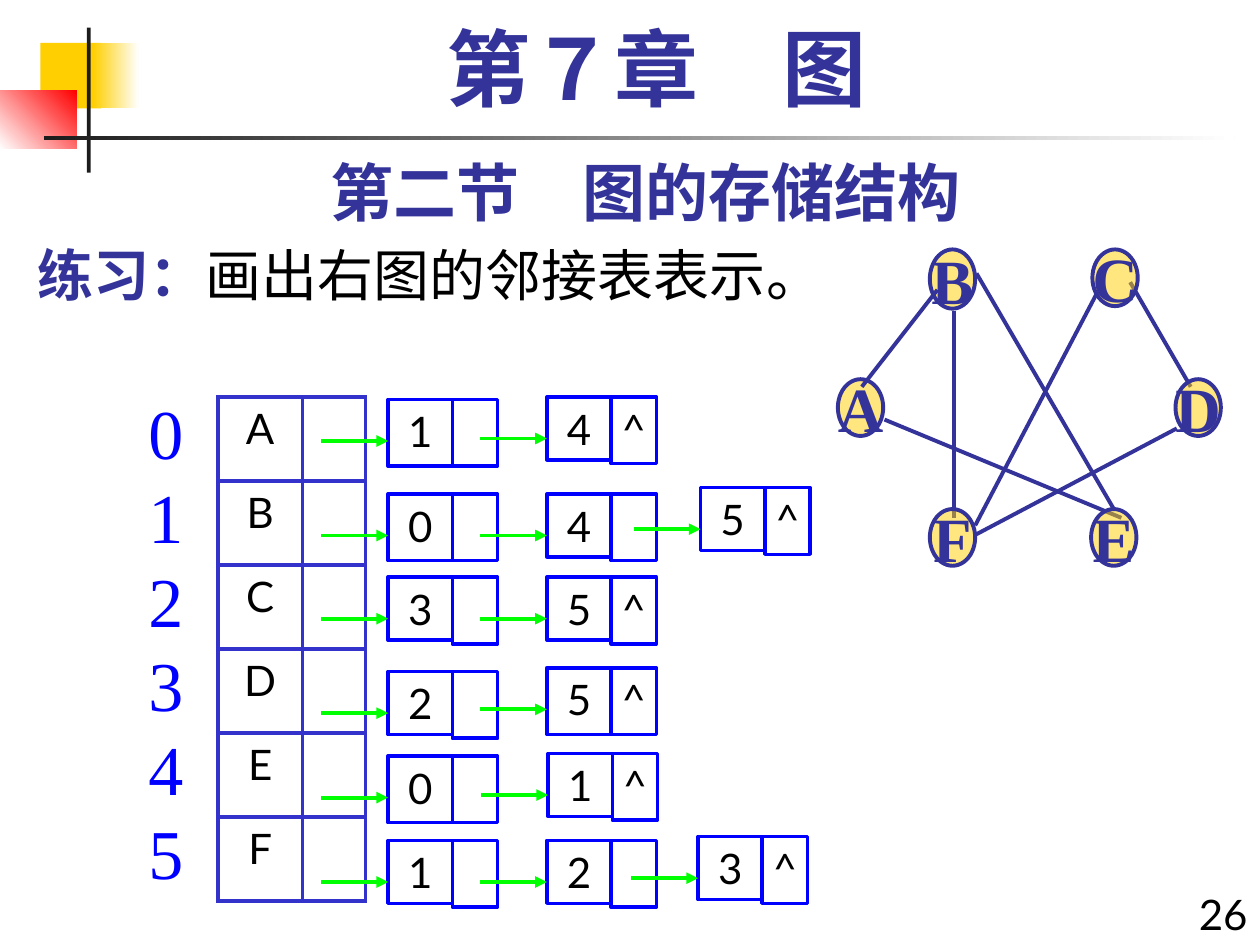
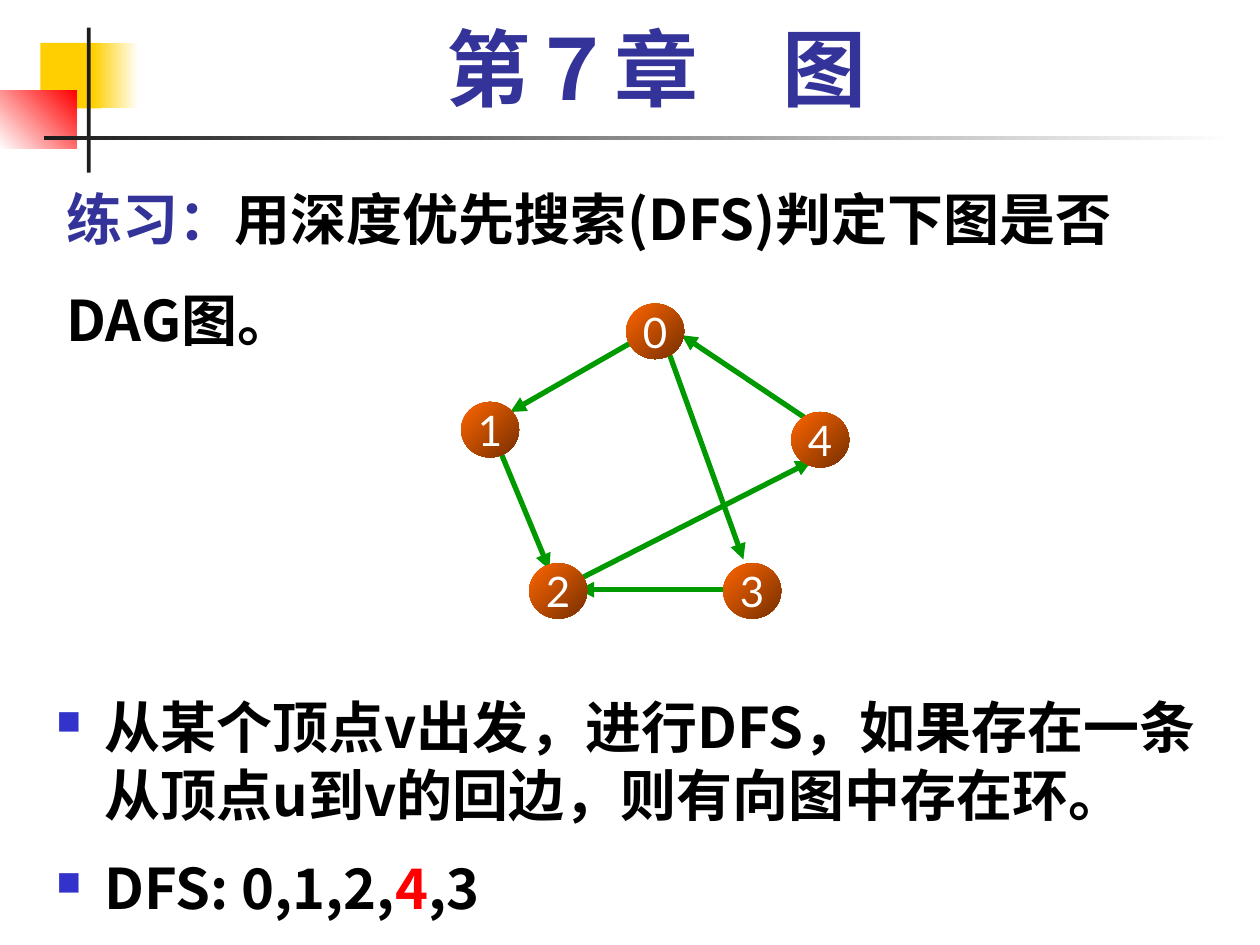
from dataclasses import dataclass
from typing import Optional, Sequence

from lxml.etree import SubElement
from pptx import Presentation
from pptx.dml.color import RGBColor
from pptx.enum.shapes import MSO_CONNECTOR as Link, MSO_SHAPE as Preset
from pptx.enum.text import MSO_ANCHOR as Anchor, MSO_AUTO_SIZE as AutoSize, PP_ALIGN as Align
from pptx.oxml.ns import qn
from pptx.shapes.autoshape import Shape
from pptx.slide import Slide
from pptx.text.text import TextFrame, _Paragraph as Paragraph
from pptx.util import Inches, Pt


@dataclass(frozen=True)
class Theme:
    navy: str = "333399"
    blue: str = "0000FF"
    grid: str = "3333CC"
    black: str = "000000"
    white: str = "FFFFFF"
    charcoal: str = "1C1C1C"
    gold: str = "FFCF01"
    red: str = "FF0000"
    pointer: str = "00FF00"
    arc: str = "009900"
    orange: str = "FF6600"
    brown: str = "762F00"
    sans: str = "Lato"
    serif: str = "Times New Roman"
    cjk: str = "Noto Sans CJK SC"
    title_size: int = 48
    index_size: int = 40
    heading_size: int = 36
    body_size: int = 32
    label_size: int = 24


THEME = Theme()


@dataclass(frozen=True)
class Style:
    size: int
    color: str
    font: str
    bold: bool = False


TITLE = Style(THEME.title_size, THEME.navy, THEME.serif, True)
HEADING = Style(THEME.heading_size, THEME.navy, THEME.sans, True)
VERTEX = Style(THEME.heading_size, THEME.navy, THEME.serif, True)
INDEX = Style(THEME.index_size, THEME.blue, THEME.serif)
LABEL = Style(THEME.label_size, THEME.black, THEME.sans)
NODE_LABEL = Style(THEME.label_size, THEME.white, THEME.sans)
LEAD = Style(THEME.body_size, THEME.navy, THEME.cjk, True)
PLAIN = Style(THEME.body_size, THEME.black, THEME.cjk)
BODY = Style(THEME.body_size, THEME.black, THEME.cjk, True)
BACK_EDGE = Style(THEME.body_size, THEME.red, THEME.cjk, True)

Run = tuple[str, Style]


@dataclass(frozen=True)
class Box:
    left: float
    top: float
    width: float
    height: float

    def emu(self) -> tuple[int, int, int, int]:
        return Inches(self.left), Inches(self.top), Inches(self.width), Inches(self.height)


@dataclass(frozen=True)
class Band:
    box: Box
    start: str
    end: Optional[str] = None
    angle: int = 0


@dataclass(frozen=True)
class ListNode:
    left: float
    top: float
    key: str
    last: bool = False
    key_height: float = 0.5


@dataclass(frozen=True)
class Vertex:
    left: float
    top: float
    label: str
    height: float = 0.45


@dataclass(frozen=True)
class Edge:
    x1: float
    y1: float
    x2: float
    y2: float


BANDS = (
    Band(Box(0.32, 0.34, 0.48, 0.52), THEME.gold),
    Band(Box(0.74, 0.34, 0.36, 0.52), THEME.gold, THEME.white),
    Band(Box(0, 0.72, 0.61, 0.46), THEME.white, THEME.red, 45),
    Band(Box(0.69, 0.22, 0.03, 1.15), THEME.charcoal),
    Band(Box(0.35, 1.08, 9.45, 0.03), THEME.charcoal, THEME.white),
)
FIRST, SECOND = 3.08, 4.34
ADJACENCY = (
    ListNode(FIRST, 3.17, "1", key_height=0.53), ListNode(SECOND, 3.15, "4", True),
    ListNode(FIRST, 3.92, "0", key_height=0.53), ListNode(SECOND, 3.92, "4"),
    ListNode(5.56, 3.87, "5", True),
    ListNode(FIRST, 4.58, "3"), ListNode(SECOND, 4.58, "5", True),
    ListNode(FIRST, 5.33, "2"), ListNode(SECOND, 5.3, "5", True, 0.53),
    ListNode(FIRST, 6, "0", key_height=0.53), ListNode(4.35, 5.98, "1", True),
    ListNode(FIRST, 6.67, "1"), ListNode(SECOND, 6.67, "2"),
    ListNode(5.54, 6.64, "3", True),
)
VERTICES_BEHIND = (Vertex(7.38, 1.98, "B", 0.47), Vertex(6.65, 3.01, "A"))
VERTICES_FRONT = (
    Vertex(8.67, 1.98, "C"), Vertex(9.33, 3.01, "D"),
    Vertex(7.38, 4.04, "F"), Vertex(8.66, 4.04, "E"),
)
EDGES = (
    Edge(7.44, 2.3, 6.84, 3.07), Edge(7.75, 2.17, 8.84, 4.04),
    Edge(7.02, 3.33, 8.9, 4.11), Edge(8.72, 2.3, 7.74, 4.17),
    Edge(8.97, 2.24, 9.45, 3.07), Edge(9.34, 3.4, 7.75, 4.24),
    Edge(7.57, 2.47, 7.57, 4.11),
)
DIGRAPH_NODES = (
    Vertex(3.66, 3.19, "1"), Vertex(5.74, 4.47, "3"), Vertex(4.2, 4.47, "2"),
    Vertex(6.28, 3.27, "4"), Vertex(4.97, 2.41, "0"),
)
ARCS = (
    Edge(6.41, 3.33, 5.41, 2.66), Edge(3.97, 3.58, 4.36, 4.52),
    Edge(5.13, 2.65, 4.05, 3.27), Edge(5.28, 2.72, 5.9, 4.44),
    Edge(5.74, 4.68, 4.59, 4.68), Edge(4.59, 4.6, 6.44, 3.66),
)


def rgb(color: str) -> RGBColor:
    return RGBColor.from_string(color)


def add_runs(paragraph: Paragraph, runs: Sequence[Run]) -> None:
    for text, style in runs:
        run = paragraph.add_run()
        run.text = text
        run.font.size = Pt(style.size)
        run.font.bold = style.bold
        run.font.color.rgb = rgb(style.color)
        run.font.name = style.font
        SubElement(run.font._element, qn("a:ea"), typeface=THEME.cjk)


def set_frame(frame: TextFrame, anchor: Anchor, wrap: bool = True) -> None:
    frame.word_wrap = wrap
    frame.auto_size = AutoSize.NONE
    frame.vertical_anchor = anchor


def add_text(slide: Slide, box: Box, paragraphs: Sequence[Sequence[Run]],
             anchor: Anchor = Anchor.MIDDLE, align: Align = Align.LEFT,
             leading: Optional[float] = None) -> TextFrame:
    frame = slide.shapes.add_textbox(*box.emu()).text_frame
    set_frame(frame, anchor)
    for position, runs in enumerate(paragraphs):
        paragraph = frame.add_paragraph() if position else frame.paragraphs[0]
        paragraph.alignment = align
        if leading:
            paragraph.line_spacing = Pt(leading)
        add_runs(paragraph, runs)
    return frame


def add_preset(slide: Slide, preset: Preset, box: Box, start: Optional[str] = None,
               end: Optional[str] = None, angle: int = 0, outline: Optional[str] = None,
               weight: float = 2) -> Shape:
    shape = slide.shapes.add_shape(preset, *box.emu())
    shape.shadow.inherit = False
    if start and end:
        shape.fill.gradient()
        shape.fill.gradient_angle = angle
        for stop, color in zip(shape.fill.gradient_stops, (start, end)):
            stop.color.rgb = rgb(color)
    elif start:
        shape.fill.solid()
        shape.fill.fore_color.rgb = rgb(start)
    else:
        shape.fill.background()
    if outline:
        shape.line.color.rgb = rgb(outline)
        shape.line.width = Pt(weight)
    else:
        shape.line.fill.background()
    return shape


def label(shape: Shape, text: str, style: Style, anchor: Anchor = Anchor.MIDDLE) -> None:
    frame = shape.text_frame
    set_frame(frame, anchor, wrap=False)
    frame.margin_left = frame.margin_right = 0
    frame.paragraphs[0].alignment = Align.CENTER
    add_runs(frame.paragraphs[0], [(text, style)])


def add_edge(slide: Slide, edge: Edge, color: str, weight: float = 2.25,
             arrow: bool = False) -> None:
    line = slide.shapes.add_connector(Link.STRAIGHT, Inches(edge.x1), Inches(edge.y1),
                                      Inches(edge.x2), Inches(edge.y2))
    line.line.color.rgb = rgb(color)
    line.line.width = Pt(weight)
    if arrow:
        SubElement(line.line._get_or_add_ln(), qn("a:tailEnd"), type="triangle")
    SubElement(line._element.spPr, qn("a:effectLst"))


def add_list_node(slide: Slide, node: ListNode) -> None:
    key_width, link_width, link_height = 0.51, 0.36, 0.53
    key = add_preset(slide, Preset.RECTANGLE,
                     Box(node.left, node.top, key_width, node.key_height), outline=THEME.blue)
    label(key, node.key, LABEL, Anchor.TOP)
    link = add_preset(slide, Preset.RECTANGLE,
                      Box(node.left + key_width, node.top, link_width, link_height),
                      outline=THEME.blue)
    if node.last:
        label(link, "^", LABEL, Anchor.TOP)
    middle = node.top + 0.33
    add_edge(slide, Edge(node.left - 0.53, middle, node.left, middle), THEME.pointer, arrow=True)


def add_vertex(slide: Slide, vertex: Vertex) -> None:
    circle = add_preset(slide, Preset.OVAL, Box(vertex.left, vertex.top, 0.36, vertex.height),
                        THEME.gold, outline=THEME.navy, weight=2.25)
    tint = next(circle.fill._xPr.iter(qn("a:srgbClr")))
    SubElement(tint, qn("a:alpha"), val="50000")
    label(circle, vertex.label, VERTEX)


def add_vertex_table(slide: Slide, letters: str) -> None:
    box = Box(1.73, 3.15, 1.17, 4)
    table = slide.shapes.add_table(len(letters), 2, *box.emu()).table
    table.first_row = table.horz_banding = False
    for column, width in zip(table.columns, (0.67, 0.5)):
        column.width = Inches(width)
    for cell in table.iter_cells():
        properties = cell._tc.get_or_add_tcPr()
        for side in ("a:lnL", "a:lnR", "a:lnT", "a:lnB"):
            border = SubElement(properties, qn(side), w=str(Pt(2.25)))
            SubElement(SubElement(border, qn("a:solidFill")), qn("a:srgbClr"), val=THEME.grid)
        cell.fill.background()
    for row, letter in enumerate(letters):
        paragraph = table.cell(row, 0).text_frame.paragraphs[0]
        paragraph.alignment = Align.CENTER
        add_runs(paragraph, [(letter, LABEL)])


def add_bullet(paragraph: Paragraph) -> None:
    properties = paragraph._p.get_or_add_pPr()
    properties.set("marL", str(Inches(0.38)))
    properties.set("indent", str(Inches(-0.38)))
    SubElement(SubElement(properties, qn("a:buClr")), qn("a:srgbClr"), val=THEME.grid)
    SubElement(properties, qn("a:buSzPct"), val="60000")
    SubElement(properties, qn("a:buChar"), char="■")


def start_slide(deck: Presentation) -> Slide:
    slide = deck.slides.add_slide(deck.slide_layouts[5])
    for band in BANDS:
        add_preset(slide, Preset.RECTANGLE, band.box, band.start, band.end, band.angle)
    title = slide.shapes.title
    title.left, title.top, title.width, title.height = Box(0.67, 0.17, 9.08, 0.83).emu()
    set_frame(title.text_frame, Anchor.MIDDLE)
    paragraph = title.text_frame.paragraphs[0]
    paragraph.alignment = Align.CENTER
    paragraph.line_spacing = 0.9
    add_runs(paragraph, [("第７章　图", TITLE)])
    return slide


def build_adjacency_slide(deck: Presentation) -> None:
    slide = start_slide(deck)
    add_text(slide, Box(9.33, 7, 0.67, 0.5), [[("26", LABEL)]], align=Align.RIGHT)
    add_text(slide, Box(0.5, 1.17, 9.25, 0.7), [[("第二节　图的存储结构", HEADING)]],
             align=Align.CENTER)
    add_vertex_table(slide, "ABCDEF")
    for node in ADJACENCY:
        add_list_node(slide, node)
    add_text(slide, Box(0.2, 1.74, 9.29, 0.75),
             [[("练习：", LEAD), ("画出右图的邻接表表示。", PLAIN)]], Anchor.BOTTOM)
    for vertex in VERTICES_BEHIND:
        add_vertex(slide, vertex)
    for edge in EDGES:
        add_edge(slide, edge, THEME.navy)
    for vertex in VERTICES_FRONT:
        add_vertex(slide, vertex)
    add_text(slide, Box(1.08, 3.04, 5.42, 4.14), [[(str(row), INDEX)] for row in range(6)],
             Anchor.TOP, leading=48)


def build_dfs_slide(deck: Presentation) -> None:
    slide = start_slide(deck)
    findings = add_text(slide, Box(0.35, 5.45, 9.53, 1.97), [
        [("从某个顶点v出发，进行DFS，如果存在一条从顶点u到v的回边，则有向图中存在环。", BODY)],
        [("DFS: 0,1,2,", BODY), ("4", BACK_EDGE), (",3", BODY)],
    ], Anchor.TOP, leading=38.4)
    for paragraph in findings.paragraphs:
        add_bullet(paragraph)
    findings.paragraphs[1].space_before = Pt(15)
    for arc in ARCS:
        add_edge(slide, arc, THEME.arc, 3, arrow=True)
    for node in DIGRAPH_NODES:
        circle = add_preset(slide, Preset.OVAL, Box(node.left, node.top, 0.46, 0.44),
                            THEME.orange, THEME.brown, 315)
        label(circle, node.label, NODE_LABEL)
    add_text(slide, Box(0.43, 1.28, 8.98, 1.57),
             [[("练习：", LEAD), ("用深度优先搜索(DFS)判定下图是否DAG图。", BODY)]],
             Anchor.BOTTOM, leading=57.6)


def main() -> None:
    deck = Presentation()
    deck.slide_width, deck.slide_height = Inches(10), Inches(7.5)
    build_adjacency_slide(deck)
    build_dfs_slide(deck)
    deck.save("out.pptx")


if __name__ == "__main__":
    main()
